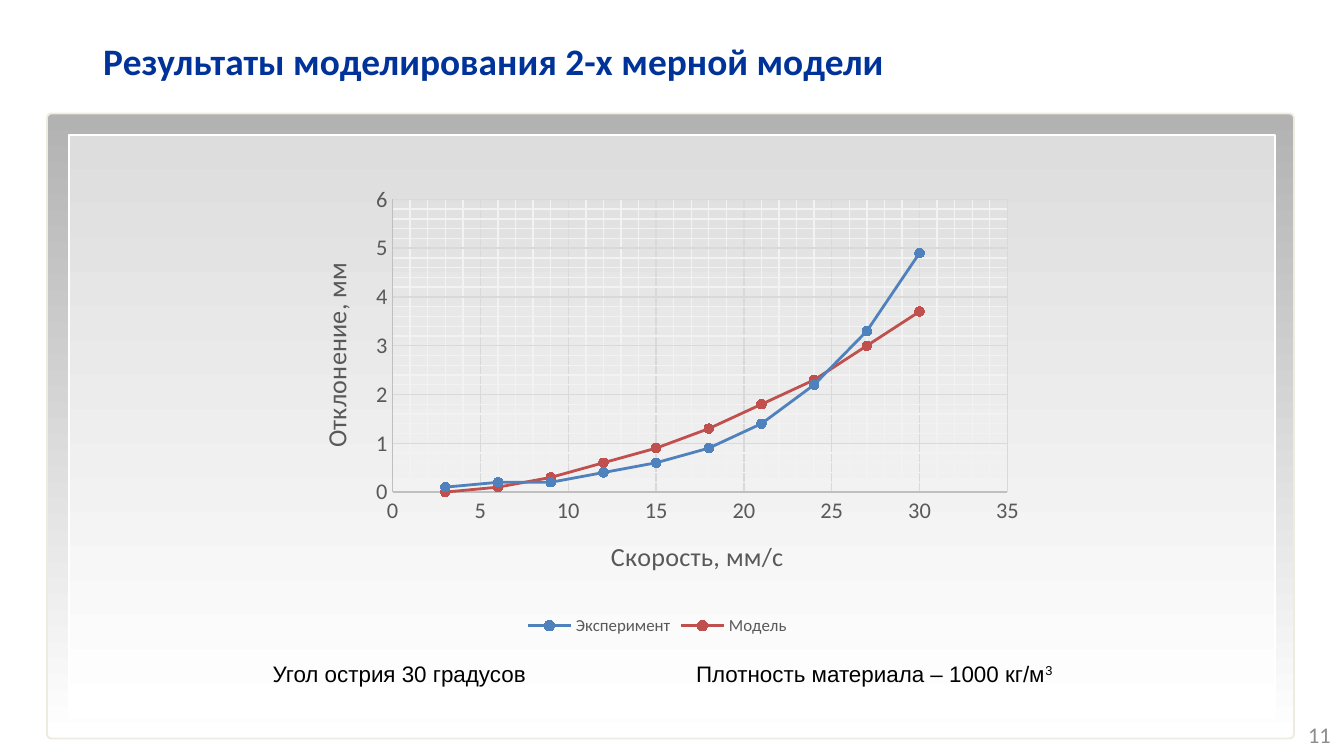
from copy import deepcopy

from lxml.etree import SubElement
from pptx import Presentation
from pptx.chart.data import XyChartData
from pptx.dml.color import RGBColor
from pptx.enum.chart import XL_CHART_TYPE as ChartType
from pptx.enum.chart import XL_LEGEND_POSITION as LegendPosition
from pptx.enum.chart import XL_MARKER_STYLE as MarkerStyle
from pptx.enum.chart import XL_TICK_MARK as TickMark
from pptx.enum.shapes import MSO_SHAPE as Shape
from pptx.enum.text import MSO_ANCHOR as Anchor
from pptx.enum.text import PP_ALIGN as Align
from pptx.oxml.ns import qn
from pptx.util import Pt

WHITE = RGBColor(0xFF, 0xFF, 0xFF)
BLACK = RGBColor(0, 0, 0)
NAVY = RGBColor(0x00, 0x33, 0x99)
BLUE = RGBColor(0x4F, 0x81, 0xBD)
RED = RGBColor(0xC0, 0x50, 0x4D)
CREAM = RGBColor(0xEE, 0xEC, 0xE1)
STEEL = RGBColor(0xB2, 0xB2, 0xB2)
SILVER = RGBColor(0xDD, 0xDD, 0xDD)
GREY = RGBColor(0x8C, 0x8C, 0x8C)
AXIS_TEXT = RGBColor(0x59, 0x59, 0x59)
AXIS_LINE = RGBColor(0xBF, 0xBF, 0xBF)
MAJOR_GRID = RGBColor(0xD9, 0xD9, 0xD9)
MINOR_GRID = RGBColor(0xF2, 0xF2, 0xF2)

SPEEDS = range(3, 31, 3)
SERIES = [
    ("Эксперимент", BLUE, [0.1, 0.2, 0.2, 0.4, 0.6, 0.9, 1.4, 2.2, 3.3, 4.9]),
    ("Модель ", RED, [0, 0.1, 0.3, 0.6, 0.9, 1.3, 1.8, 2.3, 3, 3.7]),
]
PLOT_LAYOUT = {"x": 0.14, "y": 0.05, "w": 0.83, "h": 0.63}


class SlideBuilder:
    """Draws styled elements on the current slide, with lengths in points."""

    def __init__(self, page, heading_font="Calibri", body_font="Arial"):
        self.page = page
        self.heading_font = heading_font
        self.body_font = body_font

    def set_font(self, font, size, color, name=None, bold=False):
        font.name = name or self.heading_font
        font.size = Pt(size)
        font.bold = bold
        font.color.rgb = color

    def set_line(self, line, color, width=0.75):
        line.color.rgb = color
        line.width = Pt(width)

    def panel(self, kind, frame, top_color, border, corner=None):
        shape = self.page.shapes.add_shape(kind, *map(Pt, frame))
        shape.shadow.inherit = False
        if corner is not None:
            shape.adjustments[0] = corner
        shape.fill.gradient()
        shape.fill.gradient_angle = 270
        for stop, color, position in zip(
            shape.fill.gradient_stops, (top_color, WHITE), (0, 1)
        ):
            stop.color.rgb = color
            stop.position = position
        self.set_line(shape.line, border, 1)

    def text(self, frame, words, size, color, name=None, bold=False,
             align=Align.LEFT, anchor=Anchor.TOP, raised=None):
        box = self.page.shapes.add_textbox(*map(Pt, frame))
        box.text_frame.word_wrap = True
        box.text_frame.vertical_anchor = anchor
        para = box.text_frame.paragraphs[0]
        para.alignment = align
        self.set_font(para.font, size, color, name, bold)
        para.add_run().text = words
        if raised:
            span = para.add_run()
            span.text = raised
            span.font._element.set("baseline", "30000")

    def note(self, left, width, words, raised=None):
        self.text((left, 350, width, 21.8), words, 12, BLACK,
                  self.body_font, raised=raised)

    def gridlines(self, axis):
        axis.has_major_gridlines = axis.has_minor_gridlines = True
        line = axis.major_gridlines.format.line
        self.set_line(line, MINOR_GRID)
        major, minor = (
            axis._element.find(qn(f"c:{rank}Gridlines"))
            for rank in ("major", "minor")
        )
        minor.append(deepcopy(major.find(qn("c:spPr"))))
        self.set_line(line, MAJOR_GRID)

    def axis(self, axis, title, maximum, major, minor):
        axis.minimum_scale, axis.maximum_scale = 0, maximum
        axis.major_unit, axis.minor_unit = major, minor
        axis.major_tick_mark = axis.minor_tick_mark = TickMark.NONE
        self.gridlines(axis)
        self.set_line(axis.format.line, AXIS_LINE)
        self.set_font(axis.tick_labels.font, 12, AXIS_TEXT)
        axis.tick_labels.number_format = "General"
        axis.tick_labels.number_format_is_linked = False
        para = axis.axis_title.text_frame.paragraphs[0]
        para.text = title
        self.set_font(para.font, 14, AXIS_TEXT)

    def place_plot(self, chart):
        area = chart._chartSpace.chart.plotArea
        for old in area.findall(qn("c:layout")):
            area.remove(old)
        layout = SubElement(area, qn("c:layout"))
        area.insert(0, layout)
        manual = SubElement(layout, qn("c:manualLayout"))
        settings = {"layoutTarget": "inner", "xMode": "edge", "yMode": "edge"}
        for tag, value in (settings | PLOT_LAYOUT).items():
            SubElement(manual, qn(f"c:{tag}")).set("val", str(value))

    def scatter(self, frame):
        data = XyChartData()
        for name, _, values in SERIES:
            series = data.add_series(name)
            for speed, value in zip(SPEEDS, values):
                series.add_data_point(speed, value)
        chart = self.page.shapes.add_chart(
            ChartType.XY_SCATTER_SMOOTH, *map(Pt, frame), data
        ).chart
        self.set_font(chart.font, 10, BLACK)
        chart.has_title = False
        chart.has_legend = True
        chart.legend.position = LegendPosition.BOTTOM
        chart.legend.include_in_layout = False
        self.set_font(chart.legend.font, 9, AXIS_TEXT)
        self.axis(chart.category_axis, "Скорость, мм/с", 35, 5, 1)
        self.axis(chart.value_axis, "Отклонение, мм", 6, 1, 0.2)
        self.place_plot(chart)
        plot = chart.plots[0]
        plot.vary_by_categories = False
        for series, (_, color, _) in zip(plot.series, SERIES):
            series.smooth = True
            self.set_line(series.format.line, color, 1.5)
            series.marker.style = MarkerStyle.CIRCLE
            series.marker.size = 5
            series.marker.format.fill.solid()
            series.marker.format.fill.fore_color.rgb = color
            self.set_line(series.marker.format.line, color)


def main():
    deck = Presentation()
    deck.slide_width, deck.slide_height = Pt(720), Pt(405)
    slide = SlideBuilder(deck.slides.add_slide(deck.slide_layouts[6]))
    slide.panel(Shape.ROUNDED_RECTANGLE, (25.2, 60.8, 668, 334.8),
                STEEL, CREAM, corner=0.007)
    slide.panel(Shape.RECTANGLE, (36.8, 72.2, 646.4, 312.5), SILVER, WHITE)
    slide.text((48.2, 10, 636, 45.4),
               "Результаты моделирования 2-х мерной модели",
               20, NAVY, bold=True, anchor=Anchor.MIDDLE)
    slide.text((552, 383, 168, 21.6), "11", 12, GREY,
               align=Align.RIGHT, anchor=Anchor.MIDDLE)
    slide.scatter((154.8, 94.4, 396.8, 249))
    slide.note(139, 360, "Угол острия 30 градусов")
    slide.note(365.8, 322.6, "Плотность материала – 1000 кг/м", raised="3")
    deck.save("out.pptx")


if __name__ == "__main__":
    main()
